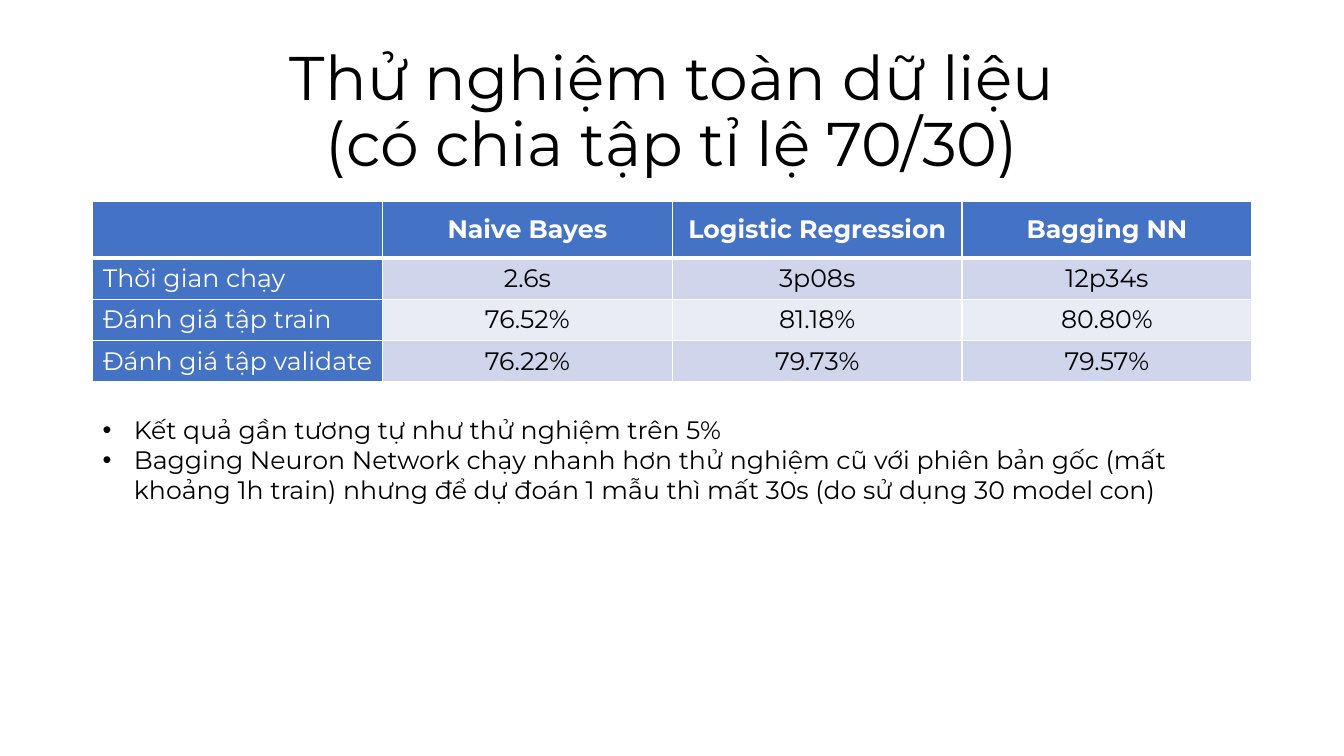
from pptx import Presentation
from pptx.dml.color import RGBColor
from pptx.enum.text import MSO_ANCHOR, PP_ALIGN
from pptx.oxml.xmlchemy import OxmlElement
from pptx.util import Emu, Pt

LEFT, CENTER = PP_ALIGN.LEFT, PP_ALIGN.CENTER
TOP, MIDDLE = MSO_ANCHOR.TOP, MSO_ANCHOR.MIDDLE
BLACK, WHITE, BLUE = "000000", "FFFFFF", "4472C4"
BANDS = ["CFD5EA", "E9EBF5"]
MARGIN, CONTENT_WIDTH = 92, 1150

TITLE = "Thử nghiệm toàn dữ liệu\v(có chia tập tỉ lệ 70/30)"
RESULTS = [
    ["", "Naive Bayes", "Logistic Regression", "Bagging NN"],
    ["Thời gian chạy", "2.6s", "3p08s", "12p34s"],
    ["Đánh giá tập train", "76.52%", "81.18%", "80.80%"],
    ["Đánh giá tập validate", "76.22%", "79.73%", "79.57%"],
]
REMARKS = [
    "Kết quả gần tương tự như thử nghiệm trên 5%",
    "Bagging Neuron Network chạy nhanh hơn thử nghiệm cũ với phiên bản gốc "
    "(mất khoảng 1h train) nhưng để dự đoán 1 mẫu thì mất 30s "
    "(do sử dụng 30 model con)",
]


def px(length):
    """One px is a hundredth of an inch."""
    return Emu(length * 9144)


def color(value):
    return RGBColor.from_string(value)


class SlideBuilder:
    font_name = "Montserrat"

    def __init__(self, presentation):
        self.slide = presentation.slides.add_slide(presentation.slide_layouts[6])

    def set_text(self, paragraph, text, size=18, ink=BLACK, bold=False, **layout):
        paragraph.text = text
        for name, value in layout.items():
            setattr(paragraph, name, value)
        font_format = {"name": self.font_name, "size": Pt(size), "bold": bold}
        for run in paragraph.runs:
            for name, value in font_format.items():
                setattr(run.font, name, value)
            run.font.color.rgb = color(ink)

    def bullet(self, paragraph, indent):
        properties = paragraph._p.get_or_add_pPr()
        properties.set("marL", str(px(indent)))
        properties.set("indent", str(-px(indent)))
        for tag, name, value in (("a:buFont", "typeface", "Arial"),
                                 ("a:buChar", "char", "•")):
            element = OxmlElement(tag)
            element.set(name, value)
            properties.append(element)

    def text_box(self, box, texts, anchor=TOP, indent=0, **style):
        frame = self.slide.shapes.add_textbox(*map(px, box)).text_frame
        frame.word_wrap = True
        frame.vertical_anchor = anchor
        for index, text in enumerate(texts):
            paragraph = frame.add_paragraph() if index else frame.paragraphs[0]
            self.set_text(paragraph, text, **style)
            if indent:
                self.bullet(paragraph, indent)

    def borders(self, cell, widths):
        properties = cell._tc.get_or_add_tcPr()
        for side, width in widths.items():
            line = OxmlElement(f"a:ln{side}")
            line.set("w", str(Pt(width)))
            fill = OxmlElement("a:solidFill")
            ink = OxmlElement("a:srgbClr")
            ink.set("val", WHITE)
            fill.append(ink)
            line.append(fill)
            properties.append(line)

    def table(self, box, rows, row_heights):
        table = self.slide.shapes.add_table(
            len(rows), len(rows[0]), *map(px, box)).table
        for row, height in zip(table.rows, row_heights):
            row.height = px(height)
        for r, texts in enumerate(rows):
            for c, text in enumerate(texts):
                cell = table.cell(r, c)
                header, label = r == 0, c == 0
                # A thick rule separates the header from the body
                self.borders(cell, {"L": 1, "R": 1, "T": 3 if r == 1 else 1,
                                    "B": 3 if header else 1})
                cell.fill.solid()
                cell.fill.fore_color.rgb = color(
                    BLUE if header or label else BANDS[(r - 1) % 2])
                cell.vertical_anchor = MIDDLE if header else TOP
                self.set_text(cell.text_frame.paragraphs[0], text,
                              ink=WHITE if header or label else BLACK, bold=header,
                              alignment=LEFT if label else CENTER)


def main():
    presentation = Presentation()
    presentation.slide_width, presentation.slide_height = Emu(12192000), px(750)
    builder = SlideBuilder(presentation)

    # Title
    builder.text_box((MARGIN, 40, CONTENT_WIDTH, 145), [TITLE], anchor=MIDDLE,
                     size=44, alignment=CENTER, line_spacing=0.9)

    # Results by model
    builder.table((MARGIN, 200, CONTENT_WIDTH, 179), RESULTS, [56, 41, 41, 41])

    # Remarks
    builder.text_box((MARGIN, 406, CONTENT_WIDTH, 101), REMARKS, indent=31)

    presentation.save("out.pptx")


if __name__ == "__main__":
    main()
